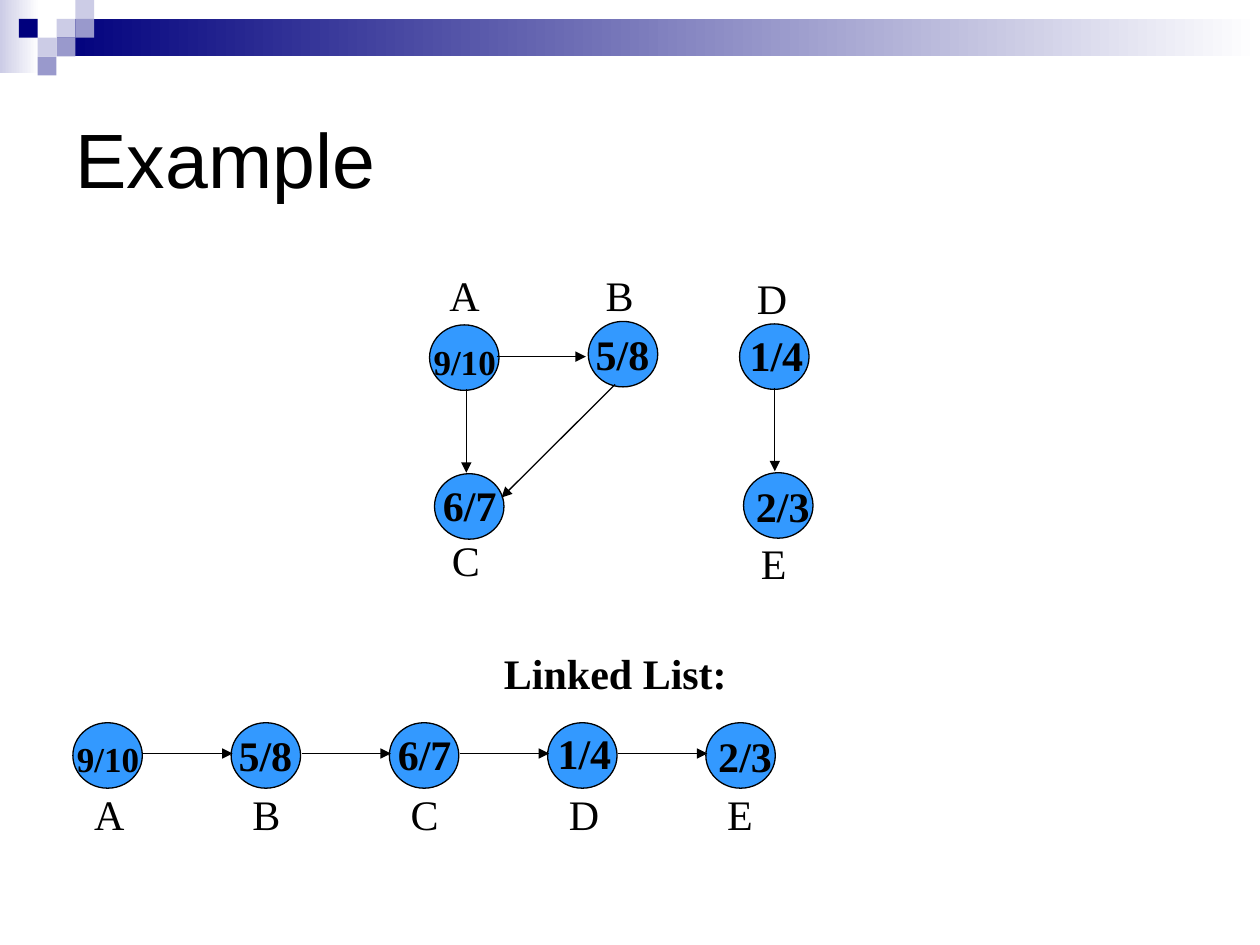
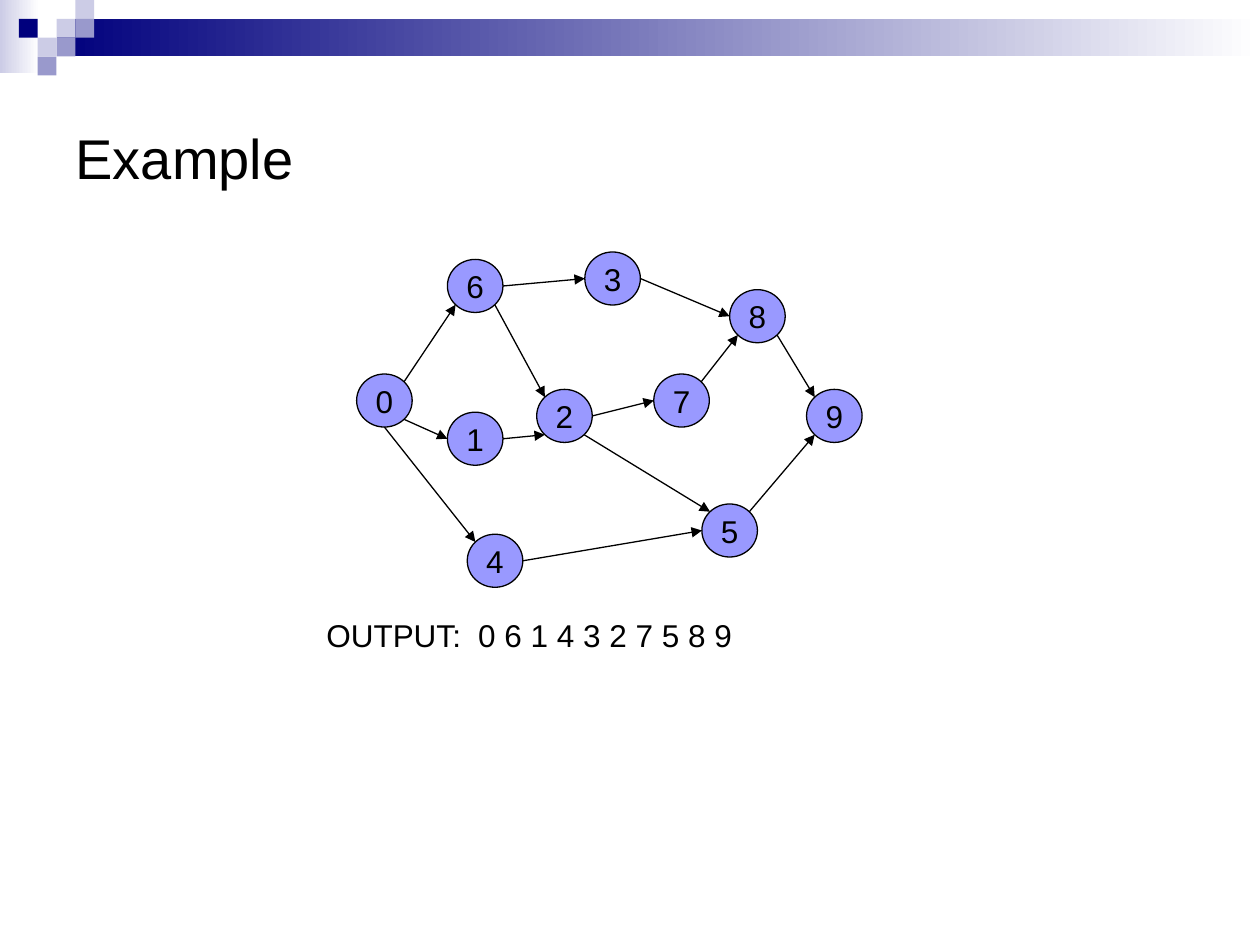
from math import cos, radians, sin

from lxml import etree
from pptx import Presentation
from pptx.dml.color import RGBColor
from pptx.enum.shapes import MSO_CONNECTOR, MSO_SHAPE
from pptx.enum.text import MSO_ANCHOR, MSO_AUTO_SIZE, PP_ALIGN
from pptx.oxml.ns import qn
from pptx.util import Cm, Pt

RECTANGLE, ELLIPSE = MSO_SHAPE.RECTANGLE, MSO_SHAPE.OVAL
STRAIGHT = MSO_CONNECTOR.STRAIGHT
MIDDLE, TOP = MSO_ANCHOR.MIDDLE, MSO_ANCHOR.TOP
LEFT, CENTER = PP_ALIGN.LEFT, PP_ALIGN.CENTER
FIT_SHAPE, NO_FIT = MSO_AUTO_SIZE.SHAPE_TO_FIT_TEXT, MSO_AUTO_SIZE.NONE

BLACK, WHITE, NAVY = "000000", "FFFFFF", "00007D"
PALE, LAVENDER = "CCCCE6", "9999CC"
BLUE, VIOLET = "3399FF", "9999FF"
SANS, SERIF = "Arial", "Times New Roman"
THIN = Pt(0.75)

SQUARE = 0.38
MOSAIC = [(3, 1, PALE), (4, 0, PALE), (4, 1, LAVENDER), (2, 2, PALE),
          (1, 1, NAVY), (3, 2, LAVENDER), (2, 3, LAVENDER)]

TASK_WIDTH, TASK_HEIGHT = 1.4, 1.32
TASKS = {"A": ("9/10", 20, -0.17, 0.18), "B": ("5/8", 24, -0.1, 0.01),
         "C": ("6/7", 24, -0.08, 0), "D": ("1/4", 24, -0.05, -0.02),
         "E": ("2/3", 24, 0, 0.03)}
TASK_PLACES = [("A", 0, 1.24, 0.15, -1.24), ("B", 3.2, 1.17, 0.1, -1.17),
               ("C", 0.1, 4.24, 0.1, 1.1), ("D", 6.25, 1.22, 0.1, -1.17),
               ("E", 6.33, 4.22, 0.1, 1.19)]
TASK_ARROWS = [(6.96, 2.51, 6.96, 4.19), (0.74, 2.54, 0.74, 4.22),
               (1.35, 1.88, 3.15, 1.88), (3.74, 2.44, 1.45, 4.72)]
LIST_PITCH, LIST_ARROW = 3.19, 1.8
LIST_LABEL = 0.18, 1.2

VERTEX_WIDTH, VERTEX_HEIGHT = 1.12, 1.07
VERTICES = [(0, 2.46), (1.83, 3.23), (3.63, 2.77), (4.6, 0), (2.23, 5.69),
            (6.96, 5.08), (1.83, 0.15), (5.99, 2.46), (7.52, 0.76), (9.07, 2.77)]
EAST, SOUTHEAST, SOUTH, SOUTHWEST = 0, 45, 90, 135
WEST, NORTHWEST, NORTHEAST = 180, 225, 315
EDGES = [(0, SOUTH, 4, NORTHWEST), (0, SOUTHEAST, 1, WEST),
         (0, NORTHEAST, 6, SOUTHWEST), (6, EAST, 3, WEST),
         (6, SOUTHEAST, 2, NORTHWEST), (1, EAST, 2, SOUTHWEST),
         (4, EAST, 5, WEST), (2, SOUTHEAST, 5, NORTHWEST),
         (5, NORTHEAST, 9, SOUTHWEST), (2, EAST, 7, WEST),
         (3, EAST, 8, WEST), (8, SOUTHEAST, 9, NORTHWEST),
         (7, NORTHEAST, 8, SOUTHWEST)]


def color(hex_string):
    """Turn a hex string into a colour."""
    return RGBColor.from_string(hex_string)


def write(shape, text, size=24, font=SERIF, bold=False, align=LEFT,
          anchor=TOP, wrap=False, fit=NO_FIT, tab=None):
    """Put formatted text into a shape."""
    frame = shape.text_frame
    frame.text = text
    frame.word_wrap = wrap
    frame.auto_size = fit
    frame.vertical_anchor = anchor
    paragraph = frame.paragraphs[0]
    paragraph.alignment = align
    if tab:
        properties = paragraph._p.get_or_add_pPr()
        stops = etree.SubElement(properties, qn("a:tabLst"))
        etree.SubElement(stops, qn("a:tab"), pos=str(Cm(tab)), algn="l")
    for run in paragraph.runs:
        run.font.size = Pt(size)
        run.font.name = font
        run.font.bold = bold
        run.font.color.rgb = color(BLACK)


def add_text(slide, text, left, top, width, height, **style):
    """Add a text box that fits its text."""
    box = slide.shapes.add_textbox(Cm(left), Cm(top), Cm(width), Cm(height))
    write(box, text, fit=FIT_SHAPE, **style)


def add_block(slide, kind, left, top, width, height, fill, outlined=False):
    """Add a shape with a plain fill, or a gradient for a pair of colours."""
    block = slide.shapes.add_shape(kind, Cm(left), Cm(top), Cm(width), Cm(height))
    block.shadow.inherit = False
    if isinstance(fill, tuple):
        block.fill.gradient()
        block.fill.gradient_angle = 0
        for stop, shade in zip(block.fill.gradient_stops, fill):
            stop.color.rgb = color(shade)
    else:
        block.fill.solid()
        block.fill.fore_color.rgb = color(fill)
    if outlined:
        block.line.color.rgb = color(BLACK)
        block.line.width = THIN
    else:
        block.line.fill.background()
    return block


def add_arrow(slide, start, end):
    """Add a thin arrow between two points."""
    arrow = slide.shapes.add_connector(STRAIGHT, *map(Cm, (*start, *end)))
    arrow.line.color.rgb = color(BLACK)
    arrow.line.width = THIN
    etree.SubElement(arrow.line._get_or_add_ln(), qn("a:tailEnd"), type="triangle")
    etree.SubElement(arrow.element.spPr, qn("a:effectLst"))


def decorate_master(master, slide):
    """Draw the top band and its mosaic, and keep them on the master."""
    parts = [add_block(slide, RECTANGLE, 0, 0, 0.79, 1.47, (PALE, WHITE)),
             add_block(slide, RECTANGLE, 1.14, SQUARE, 24.26, 0.76, (NAVY, WHITE))]
    parts += [add_block(slide, RECTANGLE, column * SQUARE, row * SQUARE,
                        SQUARE, SQUARE, fill) for column, row, fill in MOSAIC]
    for number, part in enumerate(parts, 100):
        part.element.nvSpPr.cNvPr.set("id", str(number))
        master.shapes.element.append(part.element)


def add_title(slide, text, size):
    """Place and format the title."""
    title = slide.shapes.title
    title.left, title.top, title.width, title.height = map(Cm, (1.27, 1.27, 22.86, 3.81))
    write(title, text, size=size, font=SANS, anchor=MIDDLE, wrap=True)


def add_task(slide, name, left, top, label_x, label_y):
    """Add a task circle with its times and its name."""
    times, size, times_x, times_y = TASKS[name]
    add_block(slide, ELLIPSE, left, top, TASK_WIDTH, TASK_HEIGHT, BLUE, outlined=True)
    width, height = (1.85, 1.12) if size == 20 else (1.7, 1.27)
    add_text(slide, times, left + times_x, top + times_y, width, height,
             size=size, bold=True)
    add_text(slide, name, left + label_x, top + label_y, 1.15, 1.27)


def add_task_graph(slide, left, top):
    """Draw the graph of tasks with start and finish times."""
    for name, x, y, label_x, label_y in TASK_PLACES:
        add_task(slide, name, left + x, top + y, label_x, label_y)
    for x1, y1, x2, y2 in TASK_ARROWS:
        add_arrow(slide, (left + x1, top + y1), (left + x2, top + y2))


def add_linked_list(slide, left, top):
    """Draw the sorted tasks as a linked list."""
    add_text(slide, "Linked List:", left + 8.44, top, 5, 1.27, bold=True)
    row = top + 1.64
    for index, name in enumerate(TASKS):
        x = left + index * LIST_PITCH
        add_task(slide, name, x, row, *LIST_LABEL)
        if index:
            start = x - LIST_PITCH + TASK_WIDTH + 0.02
            add_arrow(slide, (start, row + 0.62), (start + LIST_ARROW, row + 0.62))


def rim_point(left, top, angle):
    """Find the point on a vertex rim at a clockwise angle from the right."""
    turn = radians(angle)
    return (left + VERTEX_WIDTH / 2 * (1 + cos(turn)),
            top + VERTEX_HEIGHT / 2 * (1 + sin(turn)))


def add_vertex_graph(slide, left, top):
    """Draw the numbered graph and the order it gives."""
    places = [(left + x, top + y) for x, y in VERTICES]
    for number, place in enumerate(places):
        vertex = add_block(slide, ELLIPSE, *place, VERTEX_WIDTH, VERTEX_HEIGHT,
                           VIOLET, outlined=True)
        write(vertex, str(number), size=18, font=SANS, align=CENTER, anchor=MIDDLE)
    for source, leave, target, enter in EDGES:
        add_arrow(slide, rim_point(*places[source], leave),
                  rim_point(*places[target], enter))
    add_text(slide, "OUTPUT:\t0 6 1 4 3 2 7 5 8 9", left - 0.86, top + 7.22,
             9.14, 1.02, size=18, font=SANS, wrap=True, tab=3.06)


def main():
    """Build both slides and save them."""
    deck = Presentation()
    deck.slide_width, deck.slide_height = Cm(25.4), Cm(19.05)
    title_only = deck.slide_layouts[5]

    tasks = deck.slides.add_slide(title_only)
    decorate_master(deck.slide_master, tasks)
    add_title(tasks, "Example", 44)
    add_task_graph(tasks, 8.66, 5.31)
    add_linked_list(tasks, 1.47, 12.93)

    vertices = deck.slides.add_slide(title_only)
    add_title(vertices, "Example", 32)
    add_vertex_graph(vertices, 7.19, 5.08)

    deck.save("out.pptx")


if __name__ == "__main__":
    main()
